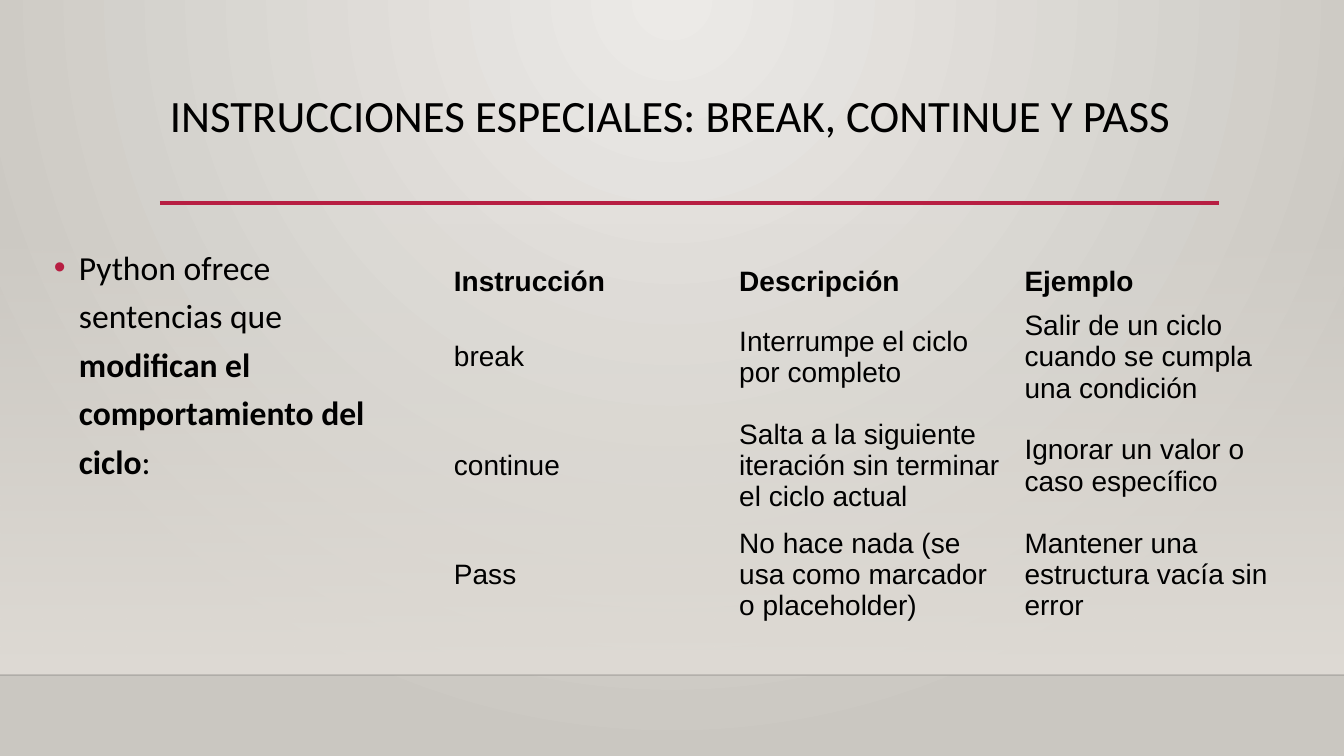
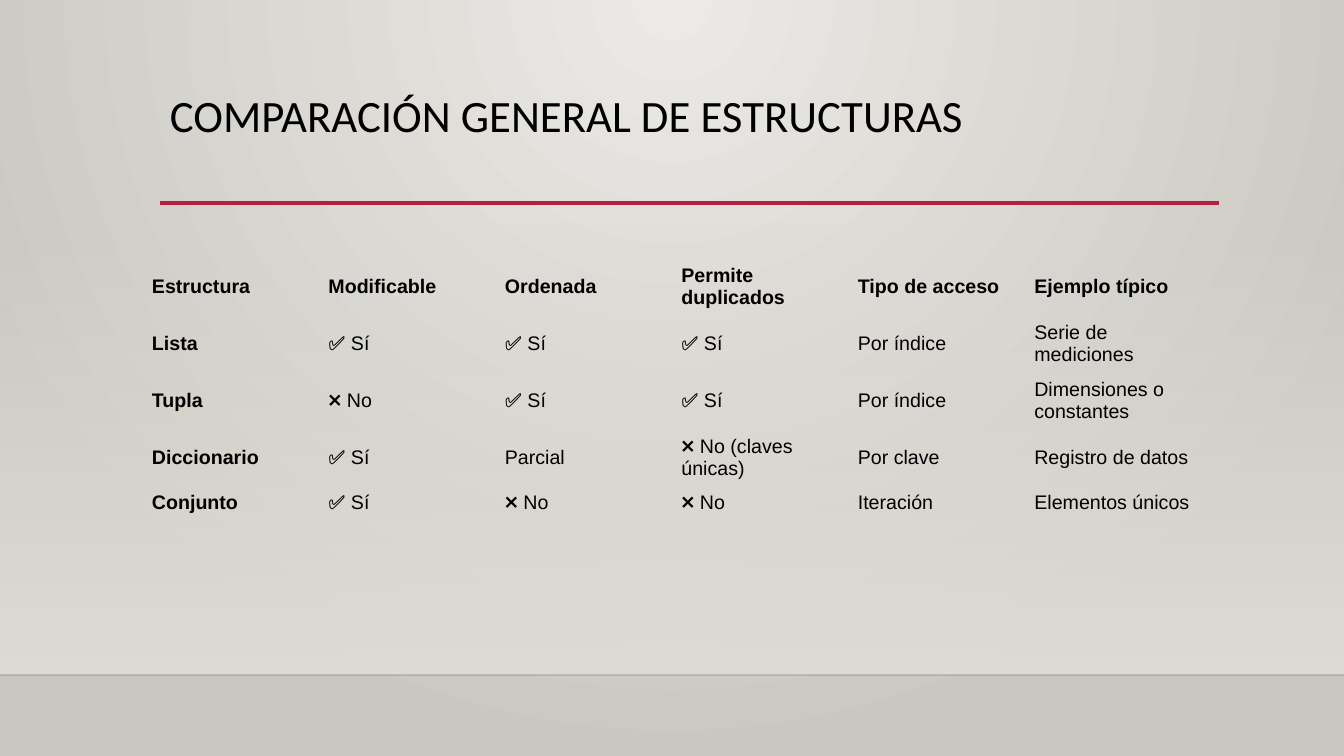
from lxml.etree import SubElement
from pptx import Presentation
from pptx.dml.color import RGBColor
from pptx.enum.shapes import MSO_CONNECTOR, MSO_SHAPE
from pptx.enum.text import MSO_ANCHOR
from pptx.oxml.ns import qn
from pptx.util import Pt

EMU_PER_PX = 914400 / 100.8
WIDTH, HEIGHT = 1344, 756
FLOOR = 675

BLACK = RGBColor(0x00, 0x00, 0x00)
FLOOR_LINE = RGBColor(0x00, 0x00, 0x01)
CRIMSON = RGBColor(0xB7, 0x1E, 0x42)
SAND = RGBColor(0xDF, 0xDB, 0xD5)
PALE = RGBColor(0xEC, 0xEA, 0xE7)
STONE = RGBColor(0xCA, 0xC7, 0xC1)

TITLE_FONT = {"name": "Calibri", "size": Pt(32), "bold": False}
BODY_FONT = {"name": "Calibri", "size": Pt(24), "bold": False}
NO_TABLE_STYLE = "{2D5ABB26-0587-4C30-8999-92F81FD0307C}"

# left, y, right, colour, points, opacity in thousandths of a percent
RULES = [
    (0, FLOOR, WIDTH, FLOOR_LINE, 1, 20000),
    (160, 203, 1219, CRIMSON, 2.5, 100000),
]

SLIDES = [
    {
        "title": "INSTRUCCIONES ESPECIALES: BREAK, CONTINUE Y PASS",
        "body": [
            ("Python ofrece sentencias que ", False),
            ("modifican el comportamiento del ciclo", True),
            (":", False),
        ],
        "area": (445, 261, 856),
        "row_heights": [41, 104, 104, 104],
        "margins": (9, 4),
        "size": 20,
        "bold_first_column": False,
        "rows": [
            ["Instrucción", "Descripción", "Ejemplo"],
            ["break", "Interrumpe el ciclo por completo",
             "Salir de un ciclo cuando se cumpla una condición"],
            ["continue", "Salta a la siguiente iteración sin terminar el ciclo actual",
             "Ignorar un valor o caso específico"],
            ["Pass", "No hace nada (se usa como marcador o placeholder)",
             "Mantener una estructura vacía sin error"],
        ],
    },
    {
        "title": "COMPARACIÓN GENERAL DE ESTRUCTURAS",
        "body": [],
        "area": (142, 258, 1059),
        "row_heights": [54, 54, 54, 54, 32],
        "margins": (10, 5),
        "size": 14,
        "bold_first_column": True,
        "rows": [
            ["Estructura", "Modificable", "Ordenada", "Permite duplicados",
             "Tipo de acceso", "Ejemplo típico"],
            ["Lista", "✅ Sí", "✅ Sí", "✅ Sí", "Por índice", "Serie de mediciones"],
            ["Tupla", "❌ No", "✅ Sí", "✅ Sí", "Por índice", "Dimensiones o constantes"],
            ["Diccionario", "✅ Sí", "Parcial", "❌ No (claves únicas)",
             "Por clave", "Registro de datos"],
            ["Conjunto", "✅ Sí", "❌ No", "❌ No", "Iteración", "Elementos únicos"],
        ],
    },
]


def px(length):
    return round(length * EMU_PER_PX)


def add_span(para, text, formats):
    span = para.add_run()
    span.text = text
    for name, value in formats.items():
        setattr(span.font, name, value)
    span.font.color.rgb = BLACK


deck = Presentation()
deck.slide_width, deck.slide_height = px(WIDTH), px(HEIGHT)

# Shared background: a glow from the top centre
backdrop = deck.slide_master.background.fill
backdrop.gradient()
for stop, color in zip(backdrop.gradient_stops, (PALE, STONE)):
    stop.color.rgb = color
gradient = deck.slide_master.element.find(".//" + qn("p:bgPr")).find(qn("a:gradFill"))
gradient.remove(gradient.find(qn("a:lin")))
glow = SubElement(gradient, qn("a:path"), path="circle")
SubElement(glow, qn("a:fillToRect"), l="43000", t="0", r="43000", b="100000")

for content in SLIDES:
    page = deck.slides.add_slide(deck.slide_layouts[6])
    shapes = page.shapes

    # Wall fading in towards the floor
    wall = shapes.add_shape(MSO_SHAPE.RECTANGLE, 0, px(223), px(WIDTH), px(FLOOR - 223))
    wall.shadow.inherit = False
    wall.line.fill.background()
    wall.fill.gradient()
    wall.fill.gradient_angle = 270
    for stop in wall.fill.gradient_stops:
        stop.color.rgb = SAND
    clear_color = wall.element.spPr.find(".//" + qn("a:srgbClr"))
    SubElement(clear_color, qn("a:alpha"), val="0")

    for left, y, right, color, points, opacity in RULES:
        rule = shapes.add_connector(MSO_CONNECTOR.STRAIGHT, px(left), px(y), px(right), px(y))
        rule.line.color.rgb = color
        rule.line.width = Pt(points)
        properties = rule.element.spPr
        SubElement(properties.find(".//" + qn("a:srgbClr")), qn("a:alpha"), val=str(opacity))
        SubElement(properties, qn("a:effectLst"))

    title = shapes.add_textbox(px(160), px(89), px(1058), px(116)).text_frame
    title.word_wrap = True
    title.paragraphs[0].line_spacing = 0.9
    add_span(title.paragraphs[0], content["title"], TITLE_FONT)

    if content["body"]:
        body = shapes.add_textbox(px(44), px(234), px(341), px(380)).text_frame
        body.word_wrap = True
        para = body.paragraphs[0]
        para.line_spacing = 1.2
        layout = para._p.get_or_add_pPr()
        layout.set("marL", str(px(25)))
        layout.set("indent", str(-px(25)))
        bullet_color = SubElement(layout, qn("a:buClr"))
        SubElement(bullet_color, qn("a:srgbClr"), val=str(CRIMSON))
        SubElement(layout, qn("a:buFont"), typeface="Arial")
        SubElement(layout, qn("a:buChar"), char="•")
        for text, bold in content["body"]:
            add_span(para, text, BODY_FONT | {"bold": bold})

    rows, heights = content["rows"], content["row_heights"]
    left, top, width = content["area"]
    frame = shapes.add_table(len(rows), len(rows[0]), px(left), px(top),
                             px(width), px(sum(heights)))
    table = frame.table
    table.first_row = table.horz_banding = False
    frame.element.find(".//" + qn("a:tableStyleId")).text = NO_TABLE_STYLE
    side, edge = map(px, content["margins"])
    cell_format = {
        "margin_left": side, "margin_right": side,
        "margin_top": edge, "margin_bottom": edge,
        "vertical_anchor": MSO_ANCHOR.MIDDLE,
    }
    for row, height in zip(table.rows, heights):
        row.height = px(height)
    for row_index, texts in enumerate(rows):
        for column_index, text in enumerate(texts):
            cell = table.cell(row_index, column_index)
            cell.fill.background()
            for name, value in cell_format.items():
                setattr(cell, name, value)
            bold = row_index == 0 or (column_index == 0 and content["bold_first_column"])
            add_span(cell.text_frame.paragraphs[0], text,
                     {"name": "Arial", "size": Pt(content["size"]), "bold": bold})

deck.save("out.pptx")
